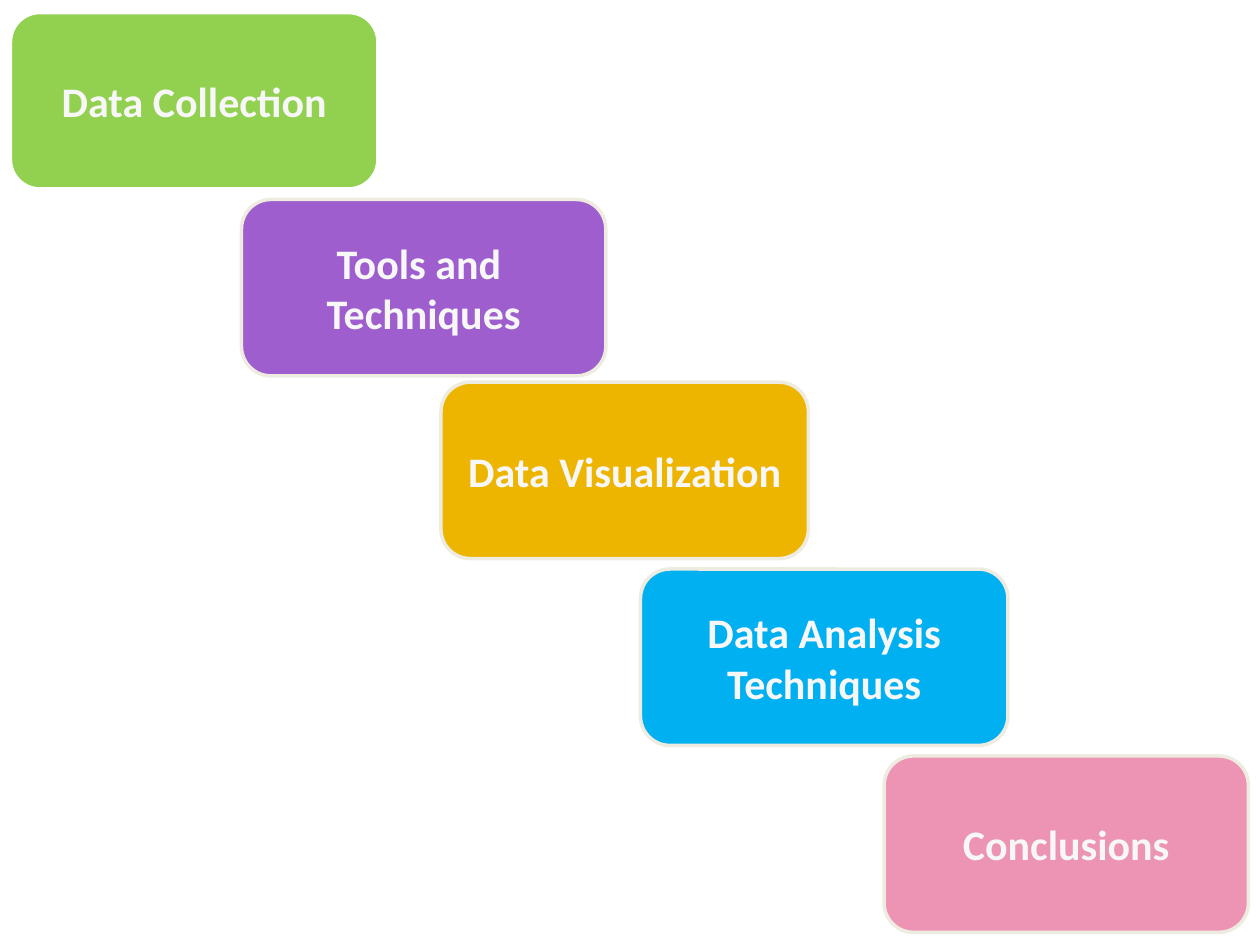
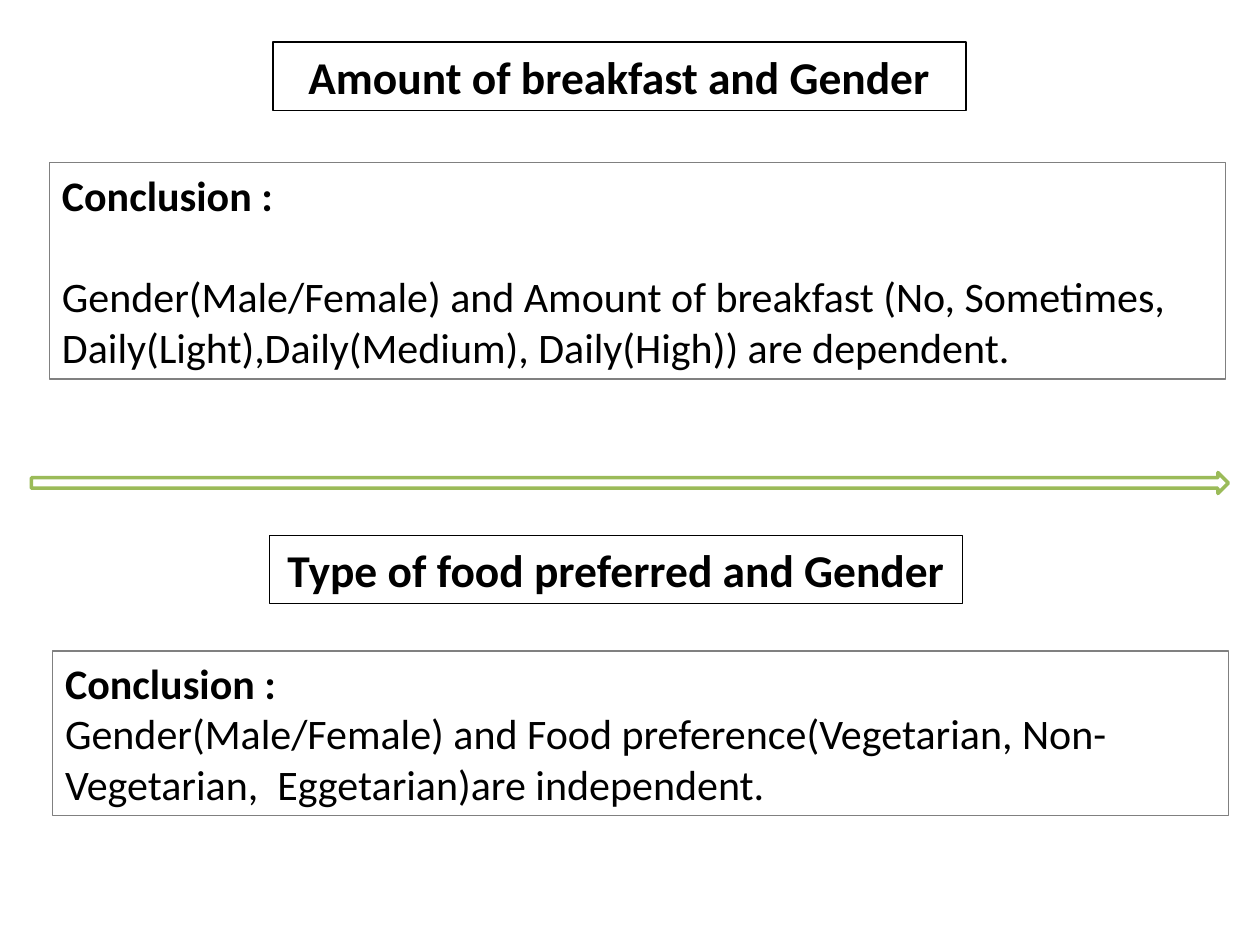
"""Build the analysis roadmap slide and the slide of survey conclusions."""
import dataclasses

import lxml.etree
import pptx
import pptx.dml.color
import pptx.enum.shapes
import pptx.enum.text
import pptx.oxml.ns
import pptx.util

SHAPES = pptx.enum.shapes.MSO_SHAPE
ANCHOR = pptx.enum.text.MSO_ANCHOR
ALIGN = pptx.enum.text.PP_ALIGN

STAGES = [
    (1, 1.2, 35, ["Data Collection"], "92D050", "FFFFFF"),
    (23, 19, 34.7, ["Tools and ", "Techniques"], "9E5ECE", "EEECE1"),
    (42, 36.4, 35, ["Data Visualization"], "EEB500", "EEECE1"),
    (61, 54.2, 35, ["Data Analysis Techniques"], "00B0F0", "EEECE1"),
    (84.2, 72, 34.7, ["Conclusions"], "ED93B3", "EEECE1"),
]
STAGE_HEIGHT = 16.8


@dataclasses.dataclass(frozen=True)
class Theme:
    """Colours, type sizes and line widths shared by the slides."""
    font: str = "Calibri"
    ink: str = "000000"
    label: str = "F7F7F7"
    paper: str = "FFFFFF"
    frame: str = "808080"
    arrow: str = "9BBB59"
    heading_size: int = 26
    text_size: int = 24
    line_height: float = 29.3
    thin: float = 0.75
    thick: float = 2


def assign(target, values):
    """Set every attribute named in values on target."""
    for name, value in values.items():
        setattr(target, name, value)


class Deck:
    """Holds the theme and current slide, laid out on a 120 by 90 grid."""
    columns, rows = 120, 90

    def __init__(self, theme):
        """Start an empty presentation."""
        self.theme = theme
        self.show = pptx.Presentation()
        self.show.slide_width = pptx.util.Inches(10)
        self.show.slide_height = pptx.util.Inches(7.5)
        self.slide = None

    def new_slide(self, layout):
        """Add a slide with the numbered layout."""
        self.slide = self.show.slides.add_slide(self.show.slide_layouts[layout])

    def cells(self, left, top, width, height):
        """Turn grid columns and rows into slide lengths."""
        column = self.show.slide_width / self.columns
        row = self.show.slide_height / self.rows
        return [round(n * unit) for n, unit in
                zip((left, top, width, height), (column, row, column, row))]

    def place(self, holder, area):
        """Move a placeholder to a grid area."""
        assign(holder, dict(zip(("left", "top", "width", "height"), self.cells(*area))))

    def paint(self, shape, line, weight, fill=None):
        """Give a shape its outline and its fill."""
        shape.line.color.rgb = pptx.dml.color.RGBColor.from_string(line)
        shape.line.width = pptx.util.Pt(weight)
        if fill:
            shape.fill.solid()
            shape.fill.fore_color.rgb = pptx.dml.color.RGBColor.from_string(fill)
        else:
            shape.fill.background()

    def preset(self, kind, area, line, weight, fill=None):
        """Draw a preset shape without a shadow."""
        shape = self.slide.shapes.add_shape(kind, *self.cells(*area))
        shape.shadow.inherit = False
        self.paint(shape, line, weight, fill)
        return shape

    def set_text(self, shape, lines, size, color, align, anchor):
        """Set one bold paragraph per line and return the paragraphs."""
        frame = shape.text_frame
        assign(frame, {"word_wrap": True, "vertical_anchor": anchor,
                       "auto_size": pptx.enum.text.MSO_AUTO_SIZE.NONE})
        frame.text = "\n".join(lines)
        for paragraph in frame.paragraphs:
            assign(paragraph, {"alignment": align, "line_spacing": 1.0,
                               "space_before": pptx.util.Pt(0)})
            for run in paragraph.runs:
                assign(run.font, {"name": self.theme.font, "bold": True,
                                  "size": pptx.util.Pt(size)})
                run.font.color.rgb = pptx.dml.color.RGBColor.from_string(color)
        return frame.paragraphs

    def stage(self, area, lines, fill, line):
        """Draw a rounded stage of the roadmap with its label."""
        box = self.preset(SHAPES.ROUNDED_RECTANGLE, area, line, self.theme.thick, fill)
        assign(box.text_frame, {"margin_left": 0, "margin_right": 0})
        self.set_text(box, lines, self.theme.text_size, self.theme.label,
                      ALIGN.CENTER, ANCHOR.MIDDLE)

    def heading(self, area, wording, is_title=False):
        """Add a framed heading, in the title placeholder if it is the title."""
        if is_title:
            box = self.slide.shapes.title
            self.place(box, area)
            self.paint(box, self.theme.ink, self.theme.thin)
        else:
            box = self.preset(SHAPES.RECTANGLE, area, self.theme.ink, self.theme.thin)
        self.set_text(box, [wording], self.theme.heading_size, self.theme.ink,
                      ALIGN.CENTER, ANCHOR.MIDDLE)

    def conclusion(self, index, area, finding, gap=0):
        """Add a framed conclusion in a body placeholder."""
        box = self.slide.placeholders[index]
        self.place(box, area)
        self.paint(box, self.theme.frame, self.theme.thin)
        label, body = self.set_text(box, ["Conclusion :", finding], self.theme.text_size,
                                    self.theme.ink, ALIGN.LEFT, ANCHOR.TOP)
        body.space_before = pptx.util.Pt(gap)
        body.runs[0].font.bold = False
        for paragraph in (label, body):
            properties = paragraph._p.get_or_add_pPr()
            properties.set("marL", "0")
            properties.set("indent", "0")
            lxml.etree.SubElement(properties, pptx.oxml.ns.qn("a:buNone"))

    def divider(self, area):
        """Draw the outlined arrow between two findings."""
        self.preset(SHAPES.RIGHT_ARROW, area, self.theme.arrow, self.theme.thick,
                    self.theme.paper)


def main():
    """Build both slides and save them."""
    theme = Theme()
    deck = Deck(theme)

    deck.new_slide(6)
    for left, top, width, lines, fill, line in STAGES:
        deck.stage((left, top, width, STAGE_HEIGHT), lines, fill, line)

    deck.new_slide(3)
    deck.heading((26, 4, 66, 6.5), "Amount of breakfast and Gender", is_title=True)
    deck.conclusion(1, (4.7, 15.5, 112, 20.6),
                    "Gender(Male/Female) and Amount of breakfast (No, Sometimes, "
                    "Daily(Light),Daily(Medium), Daily(High)) are dependent.",
                    gap=theme.line_height)
    deck.heading((25.7, 51, 66, 6.5), "Type of food preferred and Gender")
    deck.conclusion(2, (5, 62, 112, 15.7),
                    "Gender(Male/Female) and Food preference(Vegetarian, "
                    "Non-Vegetarian,  Eggetarian)are independent.")
    deck.divider((3, 45, 114, 2))

    deck.show.save("out.pptx")


if __name__ == "__main__":
    main()
